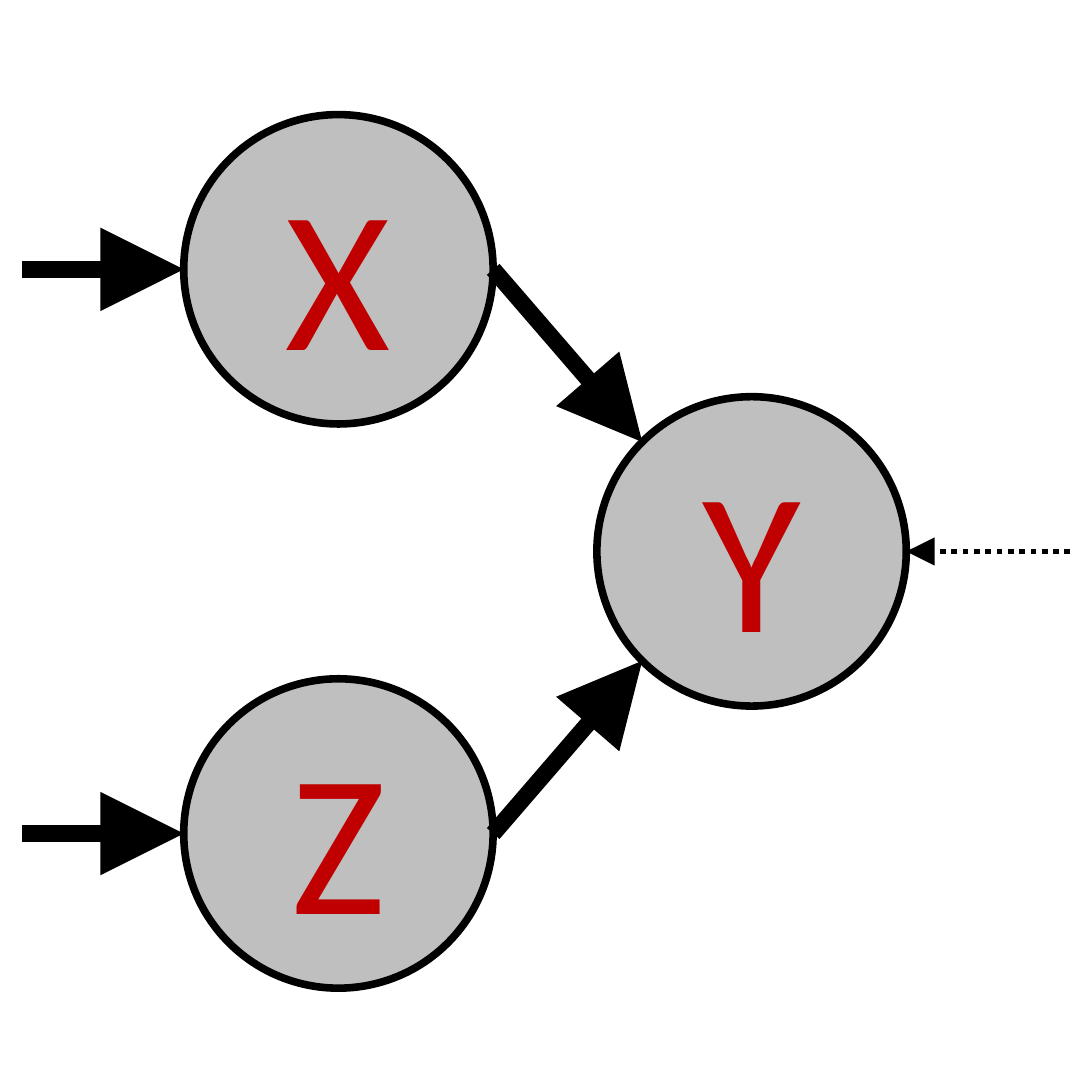
from dataclasses import dataclass
from math import sqrt

from lxml.etree import SubElement
from pptx import Presentation
from pptx.dml.color import RGBColor
from pptx.enum.dml import MSO_LINE
from pptx.enum.shapes import MSO_CONNECTOR, MSO_SHAPE
from pptx.enum.text import MSO_ANCHOR, PP_ALIGN
from pptx.oxml.ns import qn
from pptx.util import Inches, Pt

SIZE = 1.7
RADIUS = SIZE / 2
DIAG = RADIUS / sqrt(2)
MARGIN = 0.12
SIDE = 6
BLACK, GRAY, RED = "000000", "BFBFBF", "C00000"


@dataclass
class Node:
    """A labelled circle, placed by its centre."""
    label: str
    x: float
    y: float


@dataclass
class Arrow:
    """A straight arrow between two points."""
    start: tuple[float, float]
    end: tuple[float, float]
    width: float = 6.6
    dash: MSO_LINE | None = None


def paint(target, color: str) -> None:
    """Give a fill a solid colour."""
    target.solid()
    target.fore_color.rgb = RGBColor.from_string(color)


def add_node(shapes, node: Node) -> None:
    """Draw a circle with its letter."""
    circle = shapes.add_shape(
        MSO_SHAPE.OVAL, Inches(node.x - RADIUS), Inches(node.y - RADIUS),
        Inches(SIZE), Inches(SIZE))
    circle.shadow.inherit = False
    paint(circle.fill, GRAY)
    paint(circle.line.fill, BLACK)
    circle.line.width = Pt(3)
    frame = circle.text_frame
    frame.vertical_anchor = MSO_ANCHOR.MIDDLE
    para = frame.paragraphs[0]
    para.alignment = PP_ALIGN.CENTER
    run = para.add_run()
    run.text = node.label
    for name, value in {"name": "Calibri", "size": Pt(80)}.items():
        setattr(run.font, name, value)
    paint(run.font.fill, RED)


def add_arrow(shapes, arrow: Arrow) -> None:
    """Draw a line with a large triangle at its end."""
    points = [Inches(v) for v in (*arrow.start, *arrow.end)]
    link = shapes.add_connector(MSO_CONNECTOR.STRAIGHT, *points)
    paint(link.line.fill, BLACK)
    link.line.width = Pt(arrow.width)
    if arrow.dash is not None:
        link.line.dash_style = arrow.dash
    props = link._element.spPr
    SubElement(props.find(qn("a:ln")), qn("a:tailEnd"),
               {"type": "triangle", "w": "lg", "len": "lg"})
    SubElement(props, qn("a:effectLst"))


deck = Presentation()
deck.slide_width = deck.slide_height = Inches(SIDE)
slide = deck.slides.add_slide(deck.slide_layouts[6])

goal = Node("Y", 4.13, 3.03)
inputs = [Node("X", 1.86, 1.48), Node("Z", 1.86, 4.58)]
arrows = [Arrow((SIDE - MARGIN, goal.y), (goal.x + RADIUS, goal.y),
                2.25, MSO_LINE.ROUND_DOT)]
for node in inputs:
    rise = -DIAG if node.y < goal.y else DIAG
    arrows += [
        Arrow((MARGIN, node.y), (node.x - RADIUS, node.y)),
        Arrow((node.x + RADIUS, node.y), (goal.x - DIAG, goal.y + rise)),
    ]

for node in [*inputs, goal]:
    add_node(slide.shapes, node)
for arrow in arrows:
    add_arrow(slide.shapes, arrow)

deck.save("out.pptx")
